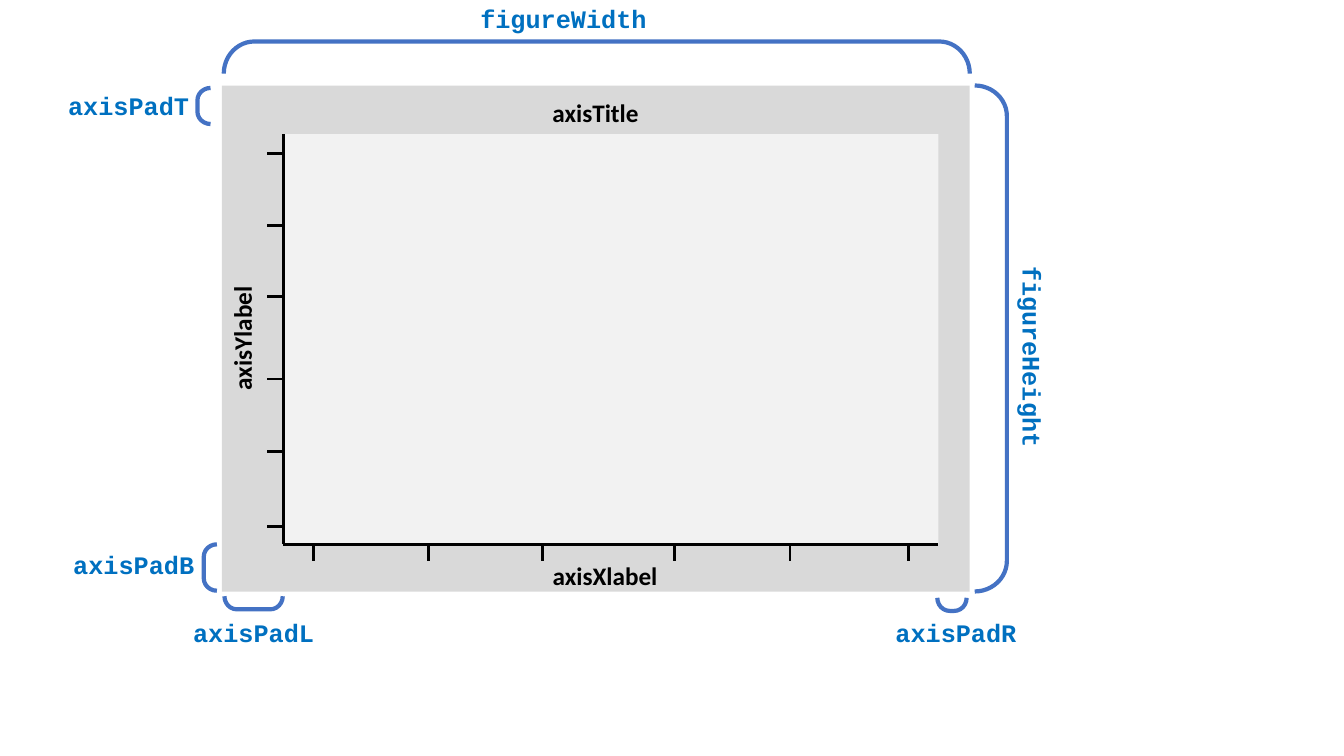
from dataclasses import dataclass

from lxml.etree import SubElement
from pptx import Presentation
from pptx.dml.color import RGBColor
from pptx.enum.shapes import MSO_CONNECTOR, MSO_SHAPE
from pptx.enum.text import MSO_AUTO_SIZE, PP_ALIGN
from pptx.oxml.ns import qn
from pptx.util import Cm, Pt


@dataclass(frozen=True)
class Theme:
    """Colours, fonts and sizes of the slide."""
    figure: RGBColor = RGBColor(0xD9, 0xD9, 0xD9)
    plot: RGBColor = RGBColor(0xF2, 0xF2, 0xF2)
    axis: RGBColor = RGBColor(0, 0, 0)
    bracket: RGBColor = RGBColor(0x44, 0x72, 0xC4)
    setting: RGBColor = RGBColor(0x00, 0x70, 0xC0)
    label_font: str = "Calibri"
    code_font: str = "Courier New"
    text_size: Pt = Pt(18)
    axis_width: Pt = Pt(2)
    bracket_width: Pt = Pt(3)


theme = Theme()
deck = Presentation()
deck.slide_width, deck.slide_height = Cm(33.87), Cm(19.05)
page = deck.slides.add_slide(deck.slide_layouts[6])


def add_axis_line(x1, y1, x2, y2):
    """Draw a black axis line or tick between two points in cm."""
    line = page.shapes.add_connector(
        MSO_CONNECTOR.STRAIGHT, Cm(x1), Cm(y1), Cm(x2), Cm(y2))
    line.line.color.rgb = theme.axis
    line.line.width = theme.axis_width
    SubElement(line._element.spPr, qn("a:effectLst"))


def add_label(text, center_x, center_y, width, rotation, font, color):
    """Place a bold one-line label around a centre point in cm."""
    height = 1.02
    box = page.shapes.add_textbox(
        Cm(center_x - width / 2), Cm(center_y - height / 2), Cm(width), Cm(height))
    box.rotation = rotation
    frame = box.text_frame
    frame.text = text
    frame.word_wrap = False
    frame.auto_size = MSO_AUTO_SIZE.SHAPE_TO_FIT_TEXT
    para = frame.paragraphs[0]
    para.alignment = PP_ALIGN.CENTER
    span = para.runs[0]
    span.font.name, span.font.size = font, theme.text_size
    span.font.bold = True
    span.font.color.rgb = color


# Figure background and plot area
plot_left, plot_top, plot_width, plot_height = 7.14, 3.38, 16.51, 10.34
plot_right, plot_bottom = plot_left + plot_width, plot_top + plot_height
areas = [
    (5.59, 2.16, 18.85, 12.75, theme.figure),
    (plot_left, plot_top, plot_width, plot_height, theme.plot),
]
for left, top, width, height, color in areas:
    area = page.shapes.add_shape(
        MSO_SHAPE.RECTANGLE, Cm(left), Cm(top), Cm(width), Cm(height))
    area.shadow.inherit = False
    area.fill.solid()
    area.fill.fore_color.rgb = color
    area.line.fill.background()

# Axes and their ticks
tick = 0.42
add_axis_line(plot_left, plot_top, plot_left, plot_bottom)
add_axis_line(plot_left, plot_bottom, plot_right, plot_bottom)
for x in (7.9, 10.8, 13.67, 16.99, 19.91, 22.89):
    add_axis_line(x, plot_bottom, x, plot_bottom + tick)
for y in (3.86, 5.69, 7.47, 9.55, 11.38, 13.26):
    add_axis_line(plot_left, y, plot_left - tick, y)

# Brackets: centre, span, depth and rotation
brackets = [
    (24.97, 8.53, 12.75, 0.81, 0),     # figureHeight
    (15.04, 1.45, 18.8, 0.81, 270),    # figureWidth
    (6.39, 15.19, 1.47, 0.33, 90),     # axisPadL
    (23.99, 15.23, 0.74, 0.33, 90),    # axisPadR
    (5.3, 14.3, 1.17, 0.33, 180),      # axisPadB
    (5.14, 2.67, 0.91, 0.33, 180),     # axisPadT
]
for center_x, center_y, length, depth, rotation in brackets:
    bracket = page.shapes.add_shape(
        MSO_SHAPE.RIGHT_BRACKET, Cm(center_x - depth / 2),
        Cm(center_y - length / 2), Cm(depth), Cm(length))
    bracket.rotation = rotation
    bracket.adjustments[0] = 0.95
    bracket.shadow.inherit = False
    bracket.fill.background()
    bracket.line.color.rgb = theme.bracket
    bracket.line.width = theme.bracket_width

# Labels inside the figure: centre, width and rotation
for text, x, y, width, rotation in [
    ("axisTitle", 15.01, 2.84, 2.69, 0),
    ("axisYlabel", 6.1, 8.53, 3.15, 270),
    ("axisXlabel", 15.25, 14.5, 3.18, 0),
]:
    add_label(text, x, y, width, rotation, theme.label_font, theme.axis)

# Setting names beside the brackets
for text, x, y, width, rotation in [
    ("figureHeight", 26.02, 8.99, 5.11, 90),
    ("figureWidth", 14.2, 0.48, 4.72, 0),
    ("axisPadL", 6.39, 15.95, 3.58, 0),
    ("axisPadR", 24.09, 15.95, 3.58, 0),
    ("axisPadB", 3.37, 14.22, 3.58, 0),
    ("axisPadT", 3.24, 2.67, 3.58, 0),
]:
    add_label(text, x, y, width, rotation, theme.code_font, theme.setting)

deck.save("out.pptx")
